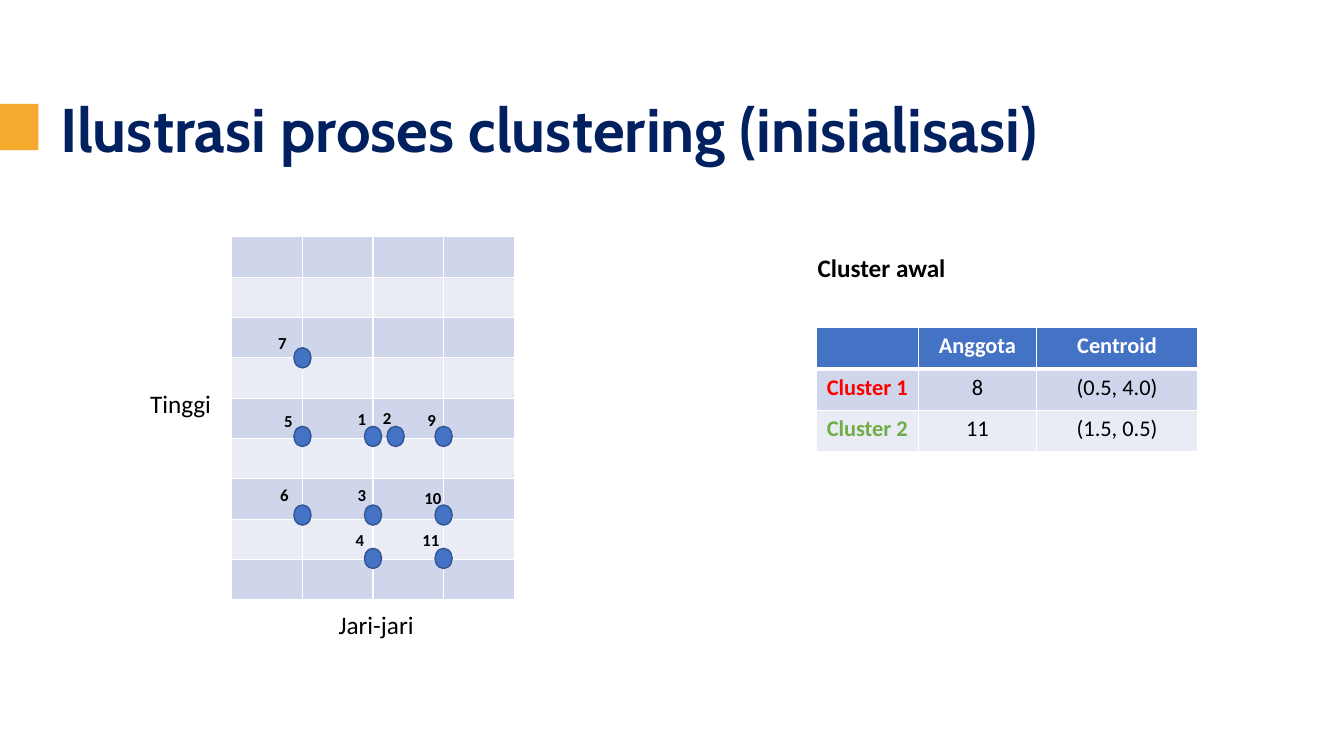
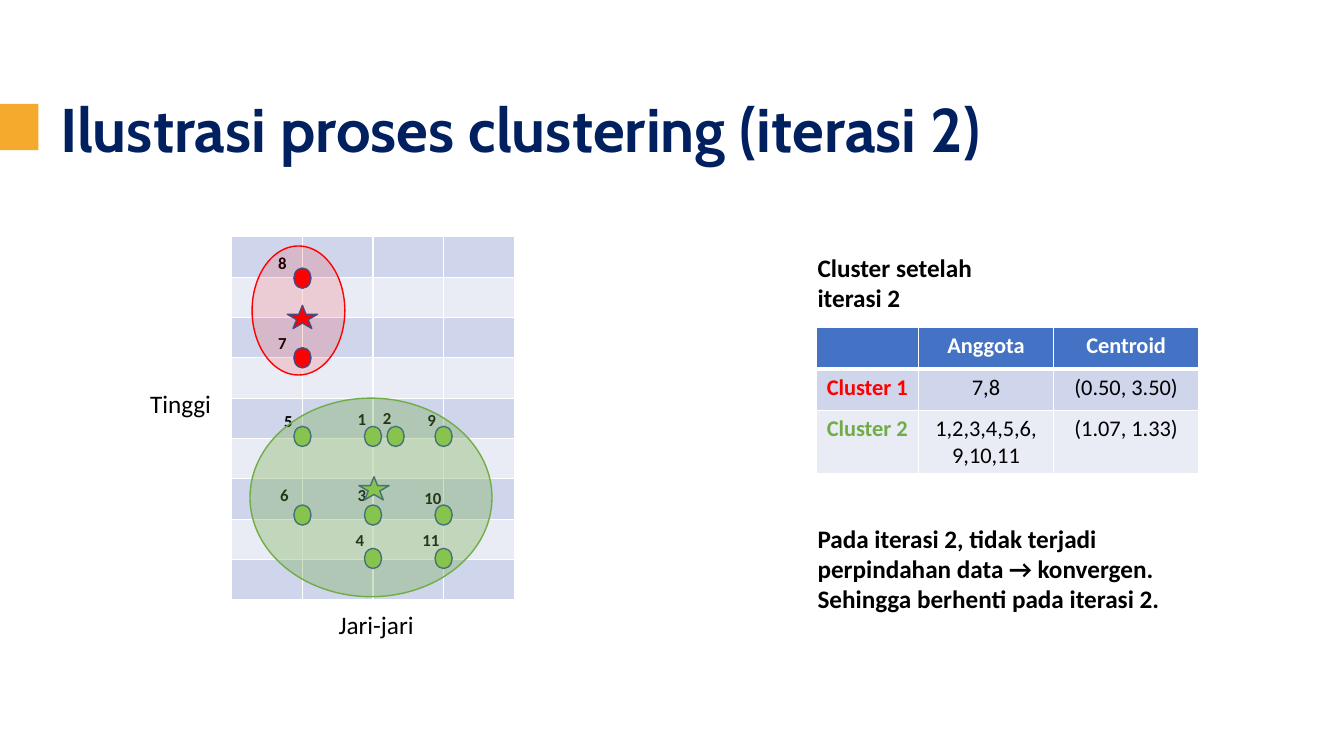
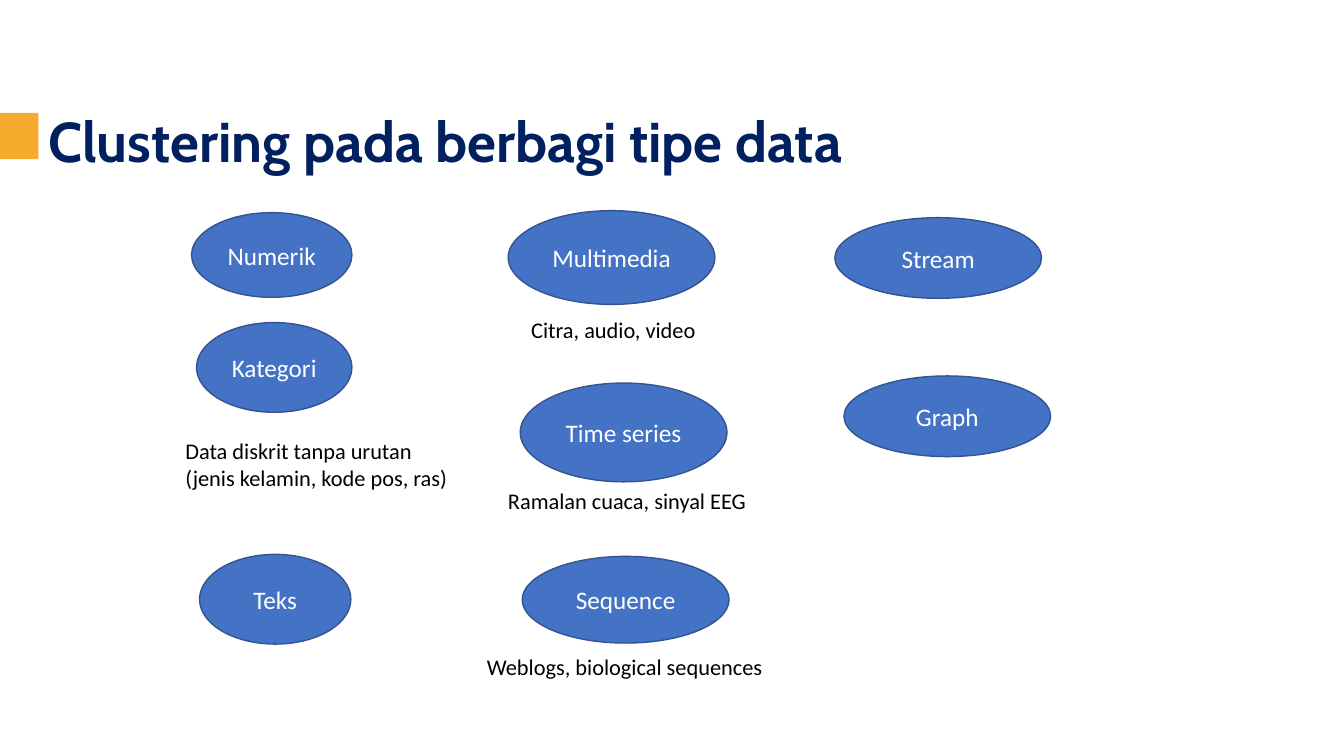
import dataclasses

import pptx
import pptx.dml.color
import pptx.enum.shapes
import pptx.enum.text
import pptx.oxml
import pptx.oxml.ns
import pptx.util

Inches = pptx.util.Inches
Pt = pptx.util.Pt
Shape = pptx.enum.shapes.MSO_SHAPE
Align = pptx.enum.text.PP_ALIGN
Anchor = pptx.enum.text.MSO_ANCHOR


@dataclasses.dataclass(frozen=True)
class Theme:
    title_font: str = "Cabin"
    body_font: str = "Calibri"
    navy: str = "002060"
    amber: str = "F5AA2D"
    blue: str = "4472C4"
    outline: str = "325491"
    red: str = "FF0000"
    green: str = "70AD47"
    lime: str = "92D050"
    bands: tuple = ("CFD5EA", "E9EBF5")
    white: str = "FFFFFF"
    black: str = "000000"
    title: int = 44
    body: int = 18
    small: int = 16
    label: int = 12


THEME = Theme()

GRID = {"left": 2.3, "top": 2.35, "columns": 4, "rows": 9, "cell": (0.7, 0.4)}
DOT = (0.17, 0.2)
STAR = (0.3, 0.23)
DOT_TOPS = {4: 2.66, 3: 3.45, 2: 4.23, 1: 5.01, 0.5: 5.44}

POINTS = [
    ("1", 1, 2, (3.45, 4.01)),
    ("2", 1.16, 2, (3.7, 4)),
    ("3", 1, 1, (3.45, 4.76)),
    ("4", 1, 0.5, (3.43, 5.21)),
    ("5", 0.5, 2, (2.72, 4.03)),
    ("6", 0.5, 1, (2.68, 4.76)),
    ("7", 0.5, 3, (2.66, 3.25)),
    ("8", 0.5, 4, (2.66, 2.46)),
    ("9", 1.5, 2, (4.14, 4.02)),
    ("10", 1.5, 1, (4.11, 4.79)),
    ("11", 1.5, 0.5, (4.09, 5.21)),
]
AXES = [("Jari-jari", (3.26, 6, 1.03, 0.4)), ("Tinggi", (1.39, 3.8, 0.83, 0.4))]
HEADER = ["", "Anggota", "Centroid"]

INITIAL = {
    "title": "Ilustrasi proses clustering (inisialisasi)",
    "caption": "Cluster awal",
    "widths": (1.01, 1.17, 1.6),
    "clusters": [("Cluster 1", "8", "(0.5, 4.0)"), ("Cluster 2", "11", "(1.5, 0.5)")],
    "hidden": ["8"],
    "colours": {},
    "default": THEME.blue,
}
SECOND = {
    "title": "Ilustrasi proses clustering (iterasi 2)",
    "caption": "Cluster setelah iterasi 2",
    "widths": (1.01, 1.34, 1.44),
    "clusters": [
        ("Cluster 1", "7,8", "(0.50, 3.50)"),
        ("Cluster 2", "1,2,3,4,5,6, 9,10,11", "(1.07, 1.33)"),
    ],
    "hidden": [],
    "colours": {"7": THEME.red, "8": THEME.red},
    "default": THEME.lime,
}
CENTROIDS = [((2.85, 3.03), THEME.red), ((3.56, 4.73), THEME.lime)]
REGIONS = [
    ((2.5, 2.44, 0.92, 1.28), THEME.red, 13),
    ((2.48, 3.95, 2.4, 1.97), THEME.green, 33),
]
CONCLUSION = [
    "Pada iterasi 2, tidak terjadi perpindahan data → konvergen.",
    "Sehingga berhenti pada iterasi 2.",
]

DATA_TYPES_TITLE = "Clustering pada berbagi tipe data"
DATA_TYPES = [
    ("Numerik", (1.9, 2.11, 1.59, 0.84)),
    ("Kategori", (1.95, 3.2, 1.54, 0.89)),
    ("Teks", (1.98, 5.5, 1.5, 0.89)),
    ("Multimedia", (5.04, 2.09, 2.05, 0.93)),
    ("Time series", (5.16, 3.8, 2.05, 0.98)),
    ("Sequence", (5.18, 5.52, 2.05, 0.86)),
    ("Stream", (8.28, 2.16, 2.05, 0.8)),
    ("Graph", (8.37, 3.73, 2.05, 0.8)),
]
EXAMPLES = [
    ("Data diskrit tanpa urutan (jenis kelamin, kode pos, ras)", (1.74, 4.29, 2.9, 0.64)),
    ("Citra, audio, video", (5.17, 3.09, 2.03, 0.37)),
    ("Ramalan cuaca, sinyal EEG", (4.94, 4.78, 2.96, 0.37)),
    ("Weblogs, biological sequences", (4.73, 6.43, 2.96, 0.37)),
]


def rgb(colour):
    return pptx.dml.color.RGBColor.from_string(colour)


def inches(box):
    return [Inches(length) for length in box]


def write(frame, text, size=THEME.body, colour=THEME.black, bold=False,
          font=THEME.body_font, align=Align.LEFT, anchor=Anchor.TOP, spacing=None):
    frame.word_wrap = True
    frame.vertical_anchor = anchor
    lines = [text] if isinstance(text, str) else text
    for index, line in enumerate(lines):
        paragraph = frame.add_paragraph() if index else frame.paragraphs[0]
        paragraph.alignment = align
        paragraph.line_spacing = spacing
        run = paragraph.add_run()
        run.text = line
        run.font.size = Pt(size)
        run.font.name = font
        run.font.bold = bold
        run.font.color.rgb = rgb(colour)


def add_text(slide, text, box, **style):
    write(slide.shapes.add_textbox(*inches(box)).text_frame, text, **style)


def draw(slide, kind, box, fill, line=THEME.outline, opacity=None):
    shape = slide.shapes.add_shape(kind, *inches(box))
    shape.shadow.inherit = False
    shape.fill.solid()
    shape.fill.fore_color.rgb = rgb(fill)
    if opacity is not None:
        colour = shape.fill._xPr.find(".//" + pptx.oxml.ns.qn("a:srgbClr"))
        colour.append(pptx.oxml.parse_xml(
            f'<a:alpha {pptx.oxml.ns.nsdecls("a")} val="{opacity * 1000}"/>'))
    if line:
        shape.line.color.rgb = rgb(line)
        shape.line.width = Pt(1)
    else:
        shape.line.fill.background()
    return shape


def paint_cell(cell, fill, bottom=1):
    properties = cell._tc.get_or_add_tcPr()
    for side, width in zip("LRTB", (1, 1, 1, bottom)):
        properties.append(pptx.oxml.parse_xml(
            f'<a:ln{side} {pptx.oxml.ns.nsdecls("a")} w="{Pt(width)}"><a:solidFill>'
            f'<a:srgbClr val="{THEME.white}"/></a:solidFill></a:ln{side}>'))
    cell.fill.solid()
    cell.fill.fore_color.rgb = rgb(fill)


def add_grid(slide, left, top, widths, heights):
    box = inches((left, top, sum(widths), sum(heights)))
    table = slide.shapes.add_table(len(heights), len(widths), *box).table
    for column, width in zip(table.columns, widths):
        column.width = Inches(width)
    for row, height in zip(table.rows, heights):
        row.height = Inches(height)
    return table


def new_slide(deck, title, left=0.5, top=0.84, width=12.19, size=THEME.title):
    slide = deck.slides.add_slide(deck.slide_layouts[6])
    add_text(slide, title, (left, top, width, 0.85), size=size, colour=THEME.navy,
             bold=True, font=THEME.title_font, anchor=Anchor.BOTTOM, spacing=0.9)
    draw(slide, Shape.RECTANGLE, (0, top + 0.19, 0.38, 0.46), THEME.amber, line=None)
    return slide


def add_clusters(slide, clusters, widths):
    table = add_grid(slide, 8.1, 3.25, widths, [0.41] * 3)
    names = (THEME.white, THEME.red, THEME.green)
    for r, row in enumerate([HEADER, *clusters]):
        for c, text in enumerate(row):
            cell = table.cell(r, c)
            paint_cell(cell, THEME.bands[r - 1] if r else THEME.blue, 1 if r else 3)
            if text:
                write(cell.text_frame, text, size=THEME.small, bold=r == 0 or c == 0,
                      colour=names[r] if r == 0 or c == 0 else THEME.black,
                      align=Align.CENTER if c else Align.LEFT)


def add_plot(slide, step):
    width, height = GRID["cell"]
    plot = add_grid(slide, GRID["left"], GRID["top"],
                    [width] * GRID["columns"], [height] * GRID["rows"])
    for r in range(GRID["rows"]):
        for c in range(GRID["columns"]):
            cell = plot.cell(r, c)
            cell.margin_top = cell.margin_bottom = 0
            paint_cell(cell, THEME.bands[r % 2])
    points = [point for point in POINTS if point[0] not in step["hidden"]]
    for label, radius, tall, place in points:
        left = GRID["left"] + 2 * width * radius - DOT[0] / 2
        draw(slide, Shape.OVAL, (left, DOT_TOPS[tall], *DOT),
             step["colours"].get(label, step["default"]))
    for axis, box in AXES:
        add_text(slide, axis, box)
    for label, radius, tall, place in points:
        add_text(slide, label, (*place, 0.15 + 0.15 * len(label), 0.3),
                 size=THEME.label, bold=True)


def add_step(deck, step):
    slide = new_slide(deck, step["title"])
    add_text(slide, step["caption"], (8.01, 2.45, 1.98, 0.71), bold=True)
    add_clusters(slide, step["clusters"], step["widths"])
    add_plot(slide, step)
    return slide


def main():
    deck = pptx.Presentation()
    deck.slide_width, deck.slide_height = Inches(13.33), Inches(7.5)

    add_step(deck, INITIAL)

    second = add_step(deck, SECOND)
    for place, colour in CENTROIDS:
        draw(second, Shape.STAR_5_POINT, (*place, *STAR), colour)
    for box, colour, opacity in REGIONS:
        draw(second, Shape.OVAL, box, colour, line=colour, opacity=opacity)
    add_text(second, CONCLUSION, (8.01, 5.14, 3.79, 1.01), bold=True)

    types = new_slide(deck, DATA_TYPES_TITLE, left=0.38, top=0.93, width=12.79, size=40)
    for name, box in DATA_TYPES:
        oval = draw(types, Shape.FLOWCHART_CONNECTOR, box, THEME.blue)
        write(oval.text_frame, name, colour=THEME.white,
              align=Align.CENTER, anchor=Anchor.MIDDLE)
    for example, box in EXAMPLES:
        add_text(types, example, box, size=THEME.small)

    deck.save("out.pptx")


if __name__ == "__main__":
    main()
